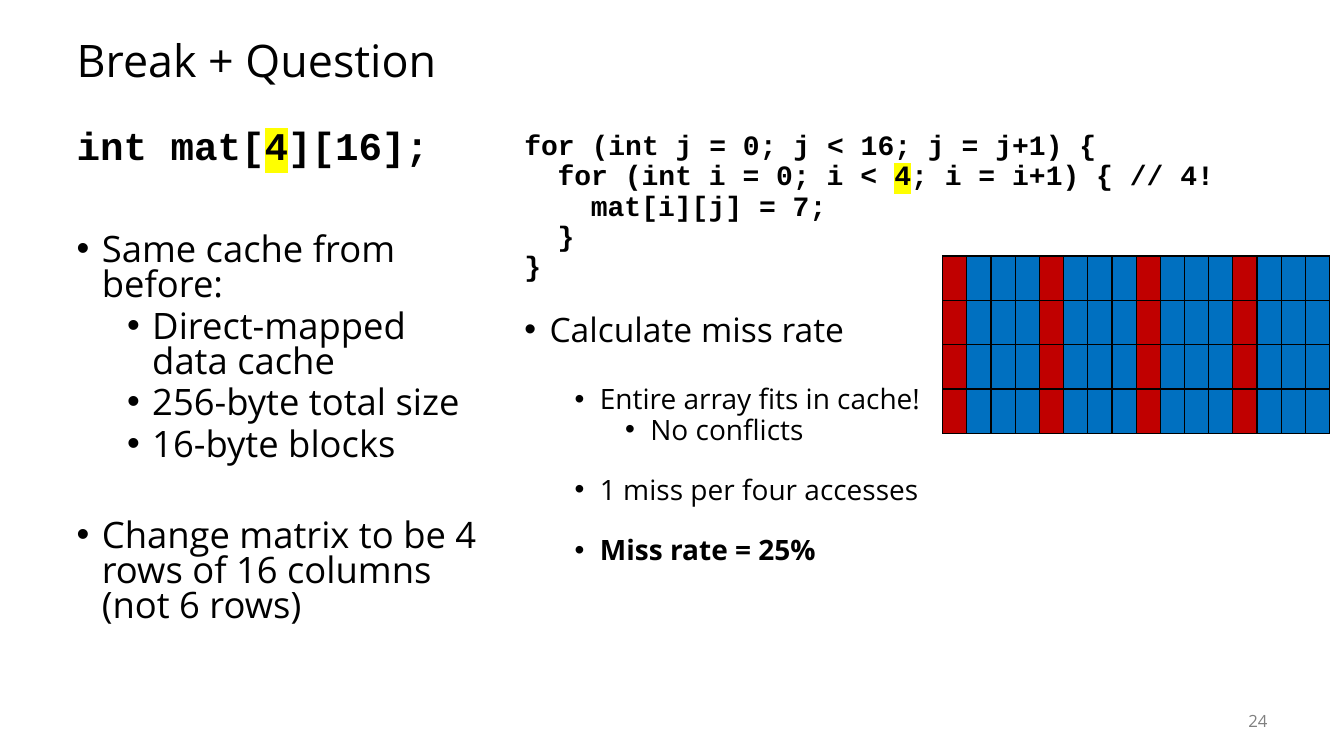
from pptx import Presentation
from pptx.dml.color import RGBColor
from pptx.enum.text import MSO_ANCHOR, MSO_AUTO_SIZE, PP_ALIGN
from pptx.oxml.ns import qn
from pptx.util import Inches, Pt
from lxml.etree import SubElement

SANS, MONO = "Open Sans", "Courier New"
BLACK, GREY, YELLOW = "000000", "808080", "FFFF00"
RED, BLUE = "C00000", "0070C0"
ROWS, COLS, BLOCK = 4, 16, 4
TITLE = "Break + Question"
NUMBER = "24"

# kind, level, size, space before, bold, text pieces
LEFT = [
    ("code", 0, 28, 10, True, ["int mat[", "4", "][16];"]),
    ("list", 0, 26, 47, False, ["Same cache from before:"]),
    ("list", 1, 26, 5, False, ["Direct-mapped data cache"]),
    ("list", 1, 26, 5, False, ["256-byte total size"]),
    ("list", 1, 26, 5, False, ["16-byte blocks"]),
    ("list", 0, 26, 40, False, ["Change matrix to be 4 rows of 16 columns (not 6 rows)"]),
]
RIGHT = [
    ("code", 0, 20, 0, True, ["for (int j = 0; j < 16; j = j+1) {"]),
    ("code", 1, 20, 0, True, ["for (int i = 0; i < ", "4", "; i = i+1) { // 4!"]),
    ("code", 2, 20, 0, True, ["mat[i][j] = 7;"]),
    ("code", 1, 20, 0, True, ["}"]),
    ("code", 0, 20, 0, True, ["}"]),
    ("list", 0, 24, 21.6, False, ["Calculate miss rate"]),
    ("list", 1, 20, 26, False, ["Entire array fits in cache!"]),
    ("list", 2, 20, 0, False, ["No conflicts"]),
    ("list", 1, 20, 21.6, False, ["1 miss per four accesses"]),
    ("list", 1, 20, 21.6, True, ["Miss rate = 25%"]),
]


def paint(color, tone):
    color.rgb = RGBColor.from_string(tone)


def style(para, face, size, tone=BLACK, bold=False):
    font = para.font
    font.name, font.size, font.bold = face, Pt(size), bold
    paint(font.color, tone)


def place(shape, left, top, width, height):
    shape.left, shape.top = Inches(left), Inches(top)
    shape.width, shape.height = Inches(width), Inches(height)


def mark(run):
    light = SubElement(run._r.get_or_add_rPr(), qn("a:highlight"))
    SubElement(light, qn("a:srgbClr")).set("val", YELLOW)


def indent(para, kind, level):
    props = para._p.get_or_add_pPr()
    if kind == "list":
        para.level = level
        edge, hang = 0.25 + 0.5 * level, -0.25
        SubElement(props, qn("a:buChar")).set("char", "•")
    else:
        edge, hang = 0.33 * level, 0
        SubElement(props, qn("a:buNone"))
    props.set("marL", str(Inches(edge)))
    props.set("indent", str(Inches(hang)))


def fill_body(body, lines, ratio):
    frame = body.text_frame
    frame.auto_size = MSO_AUTO_SIZE.NONE
    frame.vertical_anchor = MSO_ANCHOR.TOP
    for n, (kind, level, size, gap, bold, parts) in enumerate(lines):
        para = frame.add_paragraph() if n else frame.paragraphs[0]
        indent(para, kind, level)
        para.line_spacing = Pt(size * 1.2 * ratio)
        para.space_before = Pt(gap)
        style(para, MONO if kind == "code" else SANS, size, bold=bold)
        for k, part in enumerate(parts):
            run = para.add_run()
            run.text = part
            if k == 1:
                mark(run)


def border(cell):
    props = cell._tc.get_or_add_tcPr()
    for n, side in enumerate(("lnL", "lnR", "lnT", "lnB")):
        line = SubElement(props, qn("a:" + side), w=str(Pt(1)))
        fill = SubElement(line, qn("a:solidFill"))
        SubElement(fill, qn("a:srgbClr")).set("val", BLACK)
        props.insert(n, line)


deck = Presentation()
deck.slide_width, deck.slide_height = Inches(13.33), Inches(7.5)
slide = deck.slides.add_slide(deck.slide_layouts[3])

title, left, right = slide.placeholders
place(title, 0.66, 0.25, 12, 0.75)
title.text_frame.text = TITLE
title.text_frame.auto_size = MSO_AUTO_SIZE.NONE
title.text_frame.vertical_anchor = MSO_ANCHOR.MIDDLE
head = title.text_frame.paragraphs[0]
head.alignment, head.line_spacing = PP_ALIGN.LEFT, 0.9
style(head, SANS, 32)

place(left, 0.66, 1.25, 4.27, 5.15)
fill_body(left, LEFT, 0.8)
place(right, 5.1, 1.25, 7.57, 5.5)
fill_body(right, RIGHT, 0.9)

page = slide.shapes.add_textbox(Inches(11.67), Inches(6.95), Inches(1), Inches(0.4))
page.text_frame.word_wrap = True
page.text_frame.vertical_anchor = MSO_ANCHOR.MIDDLE
page.text_frame.text = NUMBER
foot = page.text_frame.paragraphs[0]
foot.alignment = PP_ALIGN.RIGHT
style(foot, SANS, 12, GREY)

wide, high = 0.24, 0.44
grid = slide.shapes.add_table(ROWS, COLS, Inches(9.35), Inches(2.54),
                              Inches(wide * COLS), Inches(high * ROWS)).table
for col in grid.columns:
    col.width = Inches(wide)
for row in grid.rows:
    row.height = Inches(high)
    for n, cell in enumerate(row.cells):
        cell.margin_left = cell.margin_right = 0
        cell.fill.solid()
        paint(cell.fill.fore_color, BLUE if n % BLOCK else RED)
        border(cell)

deck.save("out.pptx")
